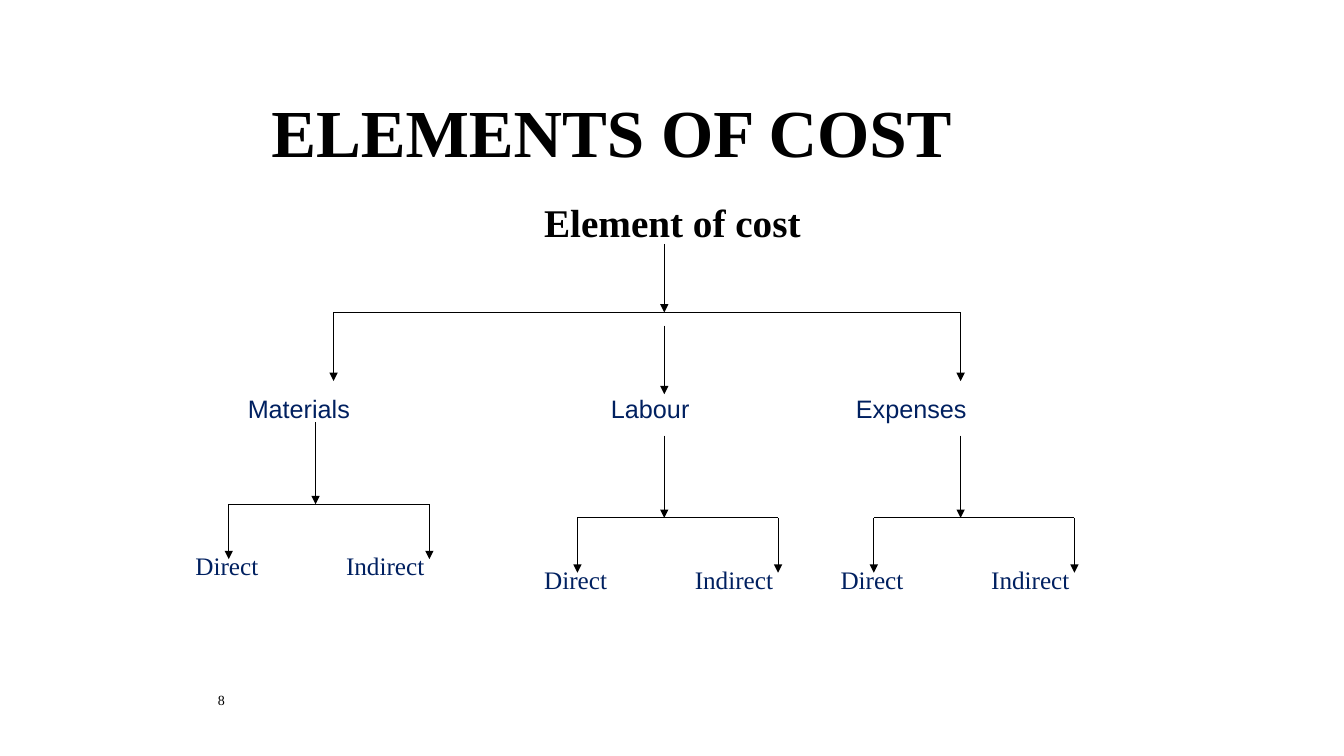
"""Build a slide that shows the elements of cost as a tree."""
from dataclasses import dataclass

from lxml import etree
from pptx import Presentation
from pptx.dml.color import RGBColor
from pptx.enum.shapes import MSO_CONNECTOR
from pptx.enum.text import MSO_ANCHOR, MSO_AUTO_SIZE, PP_ALIGN
from pptx.oxml.ns import qn
from pptx.slide import Slide
from pptx.text.text import TextFrame
from pptx.util import Pt

STRAIGHT = MSO_CONNECTOR.STRAIGHT
TOP, MIDDLE, BOTTOM = MSO_ANCHOR.TOP, MSO_ANCHOR.MIDDLE, MSO_ANCHOR.BOTTOM
LEFT, CENTER, RIGHT = PP_ALIGN.LEFT, PP_ALIGN.CENTER, PP_ALIGN.RIGHT
FIXED, GROW = MSO_AUTO_SIZE.NONE, MSO_AUTO_SIZE.SHAPE_TO_FIT_TEXT
SERIF, SANS = "Times New Roman", "Arial"
BLACK, NAVY = "000000", "002060"


@dataclass(frozen=True)
class Style:
    size: float
    font: str = SERIF
    color: str = BLACK
    bold: bool = False
    align: PP_ALIGN = LEFT
    anchor: MSO_ANCHOR = MIDDLE
    auto_size: MSO_AUTO_SIZE = GROW


@dataclass(frozen=True)
class Label:
    text: str
    left: float
    top: float
    width: float
    height: float
    style: Style
    tabs: tuple[float, ...] = ()


@dataclass(frozen=True)
class Fork:
    stem_x: float
    stem_top: float
    stem_length: float
    bar_y: float
    bar_left: float
    bar_right: float
    drop: float


TITLE = Label("ELEMENTS OF COST", 78.5, 66.2, 717, 54,
              Style(48, bold=True, align=CENTER, auto_size=FIXED))
SPLIT_STYLE = Style(18, color=NAVY, anchor=TOP)
LABELS = (
    Label("8", 131.8, 473.8, 36, 36, Style(10, align=RIGHT, anchor=BOTTOM, auto_size=FIXED)),
    Label("Element of cost", 381.6, 138.2, 223.2, 41, Style(28, bold=True)),
    Label("Materials\tLabour\tExpenses", 169.9, 277.2, 622.8, 29,
          Style(18, SANS, NAVY), (259.4, 434.4)),
)
LABOUR_X, EXPENSES_X = 474.5, 686.2
COST_FORK = Fork(LABOUR_X, 174.2, 49, 223.2, 238.3, EXPENSES_X, 49)
LABOUR_ARROW_TOP = 232.6
SPLITS = ((225.4, 301.5), (LABOUR_X, 311.2), (EXPENSES_X, 311.2))
SPLIT_STEM = 58.7


def rgb(color: str) -> RGBColor:
    return RGBColor.from_string(color)


def write(frame: TextFrame, label: Label) -> None:
    style = label.style
    frame.word_wrap = True
    frame.auto_size = style.auto_size
    frame.vertical_anchor = style.anchor
    paragraph = frame.paragraphs[0]
    paragraph.alignment = style.align
    if label.tabs:
        stops = etree.SubElement(paragraph._p.get_or_add_pPr(), qn("a:tabLst"))
        for position in label.tabs:
            etree.SubElement(stops, qn("a:tab"), pos=str(Pt(position)), algn="l")
    run = paragraph.add_run()
    run.text = label.text
    run.font.name = style.font
    run.font.size = Pt(style.size)
    run.font.bold = style.bold
    run.font.color.rgb = rgb(style.color)


def add_label(slide: Slide, label: Label) -> None:
    box = slide.shapes.add_textbox(
        Pt(label.left), Pt(label.top), Pt(label.width), Pt(label.height))
    write(box.text_frame, label)


def add_line(slide: Slide, x1: float, y1: float, x2: float, y2: float,
             arrow: bool = True) -> None:
    line = slide.shapes.add_connector(STRAIGHT, Pt(x1), Pt(y1), Pt(x2), Pt(y2))
    line.line.color.rgb = rgb(BLACK)
    line.line.width = Pt(0.75)
    if arrow:
        etree.SubElement(line.line._get_or_add_ln(), qn("a:tailEnd"), type="triangle")
    etree.SubElement(line._element.spPr, qn("a:effectLst"))


def add_fork(slide: Slide, fork: Fork) -> None:
    add_line(slide, fork.stem_x, fork.stem_top, fork.stem_x, fork.stem_top + fork.stem_length)
    add_line(slide, fork.bar_left, fork.bar_y, fork.bar_right, fork.bar_y, arrow=False)
    for x in (fork.bar_left, fork.bar_right):
        add_line(slide, x, fork.bar_y, x, fork.bar_y + fork.drop)


def add_split(slide: Slide, x: float, top: float) -> None:
    bar_y = top + SPLIT_STEM
    add_label(slide, Label("Direct\tIndirect", x - 92.9, bar_y + 29.5, 190, 29,
                           SPLIT_STYLE, (107.6,)))
    add_fork(slide, Fork(x, top, SPLIT_STEM, bar_y, x - 62, x + 81.3, 39.2))


def main() -> None:
    deck = Presentation()
    deck.slide_width, deck.slide_height = Pt(960), Pt(540)
    slide = deck.slides.add_slide(deck.slide_layouts[5])
    title = slide.shapes.title
    title.left, title.top = Pt(TITLE.left), Pt(TITLE.top)
    title.width, title.height = Pt(TITLE.width), Pt(TITLE.height)
    write(title.text_frame, TITLE)
    for label in LABELS:
        add_label(slide, label)
    add_fork(slide, COST_FORK)
    add_line(slide, LABOUR_X, LABOUR_ARROW_TOP, LABOUR_X, LABOUR_ARROW_TOP + COST_FORK.drop)
    for x, top in SPLITS:
        add_split(slide, x, top)
    deck.save("out.pptx")


if __name__ == "__main__":
    main()
